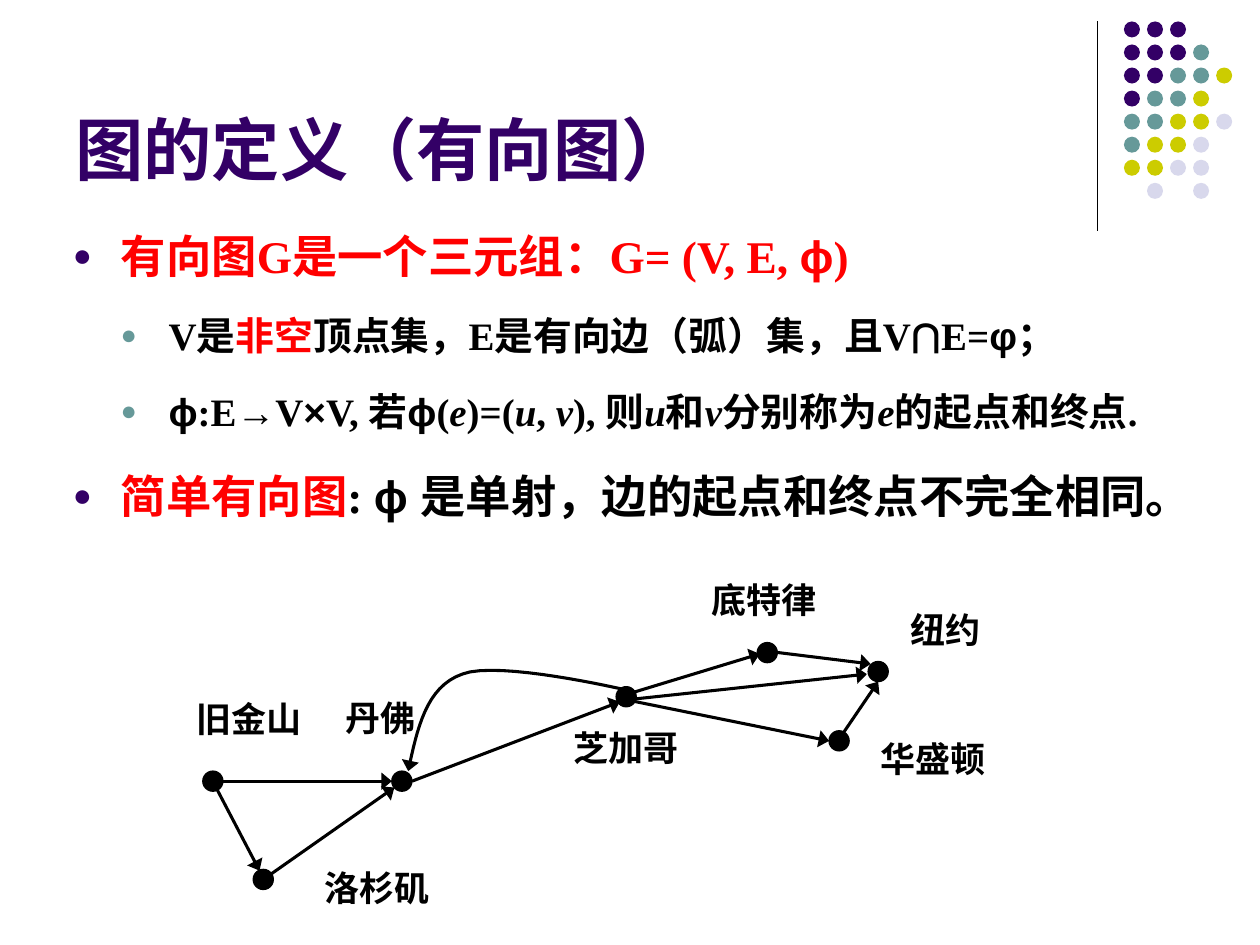
from lxml.etree import SubElement
from pptx import Presentation
from pptx.dml.color import RGBColor
from pptx.enum.shapes import MSO_CONNECTOR as Connector, MSO_SHAPE as Preset
from pptx.enum.text import MSO_ANCHOR as Anchor, PP_ALIGN as Align
from pptx.oxml.ns import qn
from pptx.util import Inches, Pt

COLUMNS, ROWS = 100, 75
BLACK, RED, PURPLE, TEAL = "000000", "FF0000", "330066", "669999"
SANS, SERIF = "Arial", "Times New Roman"


def color(value):
    return RGBColor.from_string(value)


class GraphSlide:
    label_size = 20
    edge_width = 1.75
    node_size = 1.6

    def __init__(self, presentation):
        self.slide = presentation.slides.add_slide(presentation.slide_layouts[6])
        self.shapes = self.slide.shapes
        self.column = presentation.slide_width / COLUMNS
        self.row = presentation.slide_height / ROWS

    def point(self, x, y):
        return round(x * self.column), round(y * self.row)

    def place(self, left, top, width, height):
        return self.point(left, top) + self.point(width, height)

    def run(self, paragraph, text, size, ink, font=SANS, italic=False):
        run = paragraph.add_run()
        run.text = text
        run.font.name, run.font.size = font, Pt(size)
        run.font.bold, run.font.italic = True, italic
        run.font.color.rgb = color(ink)

    def text_box(self, box, anchor=Anchor.TOP):
        frame = self.shapes.add_textbox(*self.place(*box)).text_frame
        frame.word_wrap, frame.vertical_anchor = True, anchor
        return frame

    def bullet(self, paragraph, level, ink):
        paragraph.level, paragraph.alignment = level, Align.JUSTIFY
        paragraph.line_spacing, paragraph.space_before = 1.4, Pt(7 - level)
        properties = paragraph._p.get_or_add_pPr()
        properties.set("marL", str(Inches(0.38 * (level + 1))))
        properties.set("indent", str(Inches(-0.38)))
        properties.set("hangingPunct", "0")
        holder = SubElement(properties, qn("a:buClr"))
        SubElement(holder, qn("a:srgbClr"), val=ink)
        SubElement(properties, qn("a:buSzPct"), val="70000")
        SubElement(properties, qn("a:buFont"), typeface=SANS)
        SubElement(properties, qn("a:buChar"), char="●")

    def disc(self, preset, box, ink, outlined=False):
        shape = self.shapes.add_shape(preset, *self.place(*box))
        shape.shadow.inherit = False
        shape.fill.solid()
        shape.fill.fore_color.rgb = color(ink)
        if outlined:
            shape.line.color.rgb, shape.line.width = color(ink), Pt(0.75)
        else:
            shape.line.fill.background()

    def node(self, left, top):
        self.disc(Preset.FLOWCHART_CONNECTOR,
                  (left, top, self.node_size, self.node_size), BLACK, True)

    def arrowhead(self, line, end):
        SubElement(line._get_or_add_ln(), qn(end), type="triangle", w="lg", len="med")

    def line(self, start, finish, width, arrow=False):
        ends = self.place(*start, *finish)
        connector = self.shapes.add_connector(Connector.STRAIGHT, *ends)
        connector.line.color.rgb, connector.line.width = color(BLACK), Pt(width)
        SubElement(connector._element.spPr, qn("a:effectLst"))
        if arrow:
            self.arrowhead(connector.line, "a:tailEnd")

    def curve(self, start, *segments, steps=16):
        points = [start]
        for first, second, finish in segments:
            origin = points[-1]
            for step in range(1, steps + 1):
                t = step / steps
                s = 1 - t
                points.append(tuple(
                    s**3 * a + 3 * s * s * t * b + 3 * s * t * t * c + t**3 * d
                    for a, b, c, d in zip(origin, first, second, finish)))
        builder = self.shapes.build_freeform(*self.point(*start))
        builder.add_line_segments([self.point(*each) for each in points[1:]], close=False)
        shape = builder.convert_to_shape()
        shape.shadow.inherit = False
        shape.fill.background()
        shape.line.color.rgb, shape.line.width = color(BLACK), Pt(self.edge_width)
        self.arrowhead(shape.line, "a:headEnd")

    def label(self, text, left, top):
        shape = self.shapes.add_shape(Preset.RECTANGULAR_CALLOUT,
                                      *self.place(left, top, 11, 5.5))
        shape.adjustments[0], shape.adjustments[1] = -0.21, 0.62
        shape.shadow.inherit = False
        shape.fill.background()
        shape.line.fill.background()
        frame = shape.text_frame
        frame.word_wrap, frame.vertical_anchor = True, Anchor.TOP
        paragraph = frame.paragraphs[0]
        paragraph.alignment = Align.LEFT
        self.run(paragraph, text, self.label_size, BLACK)


DOT_COLORS = {"P": PURPLE, "T": TEAL, "Y": "CCCC00", "L": "D8D8EC"}
DOT_ROWS = ["PPP", "PPPT", "PPTTY", "PTTY", "TTYYL", "TYYL", "YYLL", " L L"]

BODY = [
    (0, [("有向图G是一个三元组：G= (V, E, ", "r"), ("ϕ", "ra"), (")", "r")]),
    (1, [("V是", ""), ("非空", "r"), ("顶点集，E是有向边（弧）集，且V⋂E=", ""),
         ("φ", "a"), ("；", "")]),
    (1, [("ϕ", "a"), (":E", ""), ("→", "a"), ("V", ""), ("×", "a"),
         ("V, 若", ""), ("ϕ", "a"), ("(", ""), ("e", "i"), (")=(", ""),
         ("u", "i"), (", ", ""), ("v", "i"), ("), 则", ""), ("u", "i"),
         ("和", ""), ("v", "i"), ("分别称为", ""), ("e", "i"),
         ("的起点和终点.", "")]),
    (0, [("简单有向图", "r"), (": ", ""), ("ϕ ", "a"),
         ("是单射，边的起点和终点不完全相同。", "")]),
]
LEVELS = [(25.9, PURPLE), (22.2, TEAL)]

NODES = [(16.1, 61.2), (20.1, 69), (31.1, 61.2), (48.9, 54.5),
         (68.9, 52.5), (60.1, 51), (65.8, 58)]
EDGES = [((17.7, 62), (31.1, 62)), ((32.7, 62), (49.2, 55.7)),
         ((17.2, 62.6), (20.6, 69.1)), ((20.9, 69.8), (31.3, 62.5)),
         ((50.1, 55), (60.3, 51.9)), ((50, 55.6), (65.8, 58.8)),
         ((61, 51.7), (69.1, 52.7)), ((66.5, 58.8), (69.7, 54.1)),
         ((49.2, 55.6), (68.8, 53.5))]
CITIES = [("洛杉矶", 24.8, 68.3), ("旧金山", 14.6, 54.9), ("丹佛", 26.4, 54.8),
          ("芝加哥", 44.5, 57.2), ("华盛顿", 68.9, 58), ("纽约", 71.3, 47.8),
          ("底特律", 55.5, 45.4)]


def main():
    presentation = Presentation()
    presentation.slide_width, presentation.slide_height = Inches(10), Inches(7.5)
    page = GraphSlide(presentation)

    page.line((87.1, 1.7), (87.1, 18.3), 0.75)
    for row, dots in enumerate(DOT_ROWS):
        for column, key in enumerate(dots):
            if key in DOT_COLORS:
                box = (89.2 + 1.83 * column, 1.7 + 1.83 * row, 1.27, 1.27)
                page.disc(Preset.OVAL, box, DOT_COLORS[key])

    title = page.text_box((5, 1.3, 82.5, 14.2), Anchor.BOTTOM)
    page.run(title.paragraphs[0], "图的定义（有向图）", 39, PURPLE)

    body = page.text_box((4.8, 15.9, 93.7, 29.1))
    for index, (level, runs) in enumerate(BODY):
        paragraph = body.add_paragraph() if index else body.paragraphs[0]
        size, ink = LEVELS[level]
        page.bullet(paragraph, level, ink)
        for text, marks in runs:
            page.run(paragraph, text, size, RED if "r" in marks else BLACK,
                     SANS if "a" in marks else SERIF, "i" in marks)

    for node in NODES:
        page.node(*node)
    for start, finish in EDGES:
        page.line(start, finish, page.edge_width, arrow=True)
    for city in CITIES:
        page.label(*city)
    page.curve((32.4, 61.2),
               ((33.1, 57.9), (33.8, 54.5), (36.7, 53.5)),
               ((39.5, 52.4), (49.4, 54.7), (49.4, 54.7)))
    presentation.save("out.pptx")


if __name__ == "__main__":
    main()
